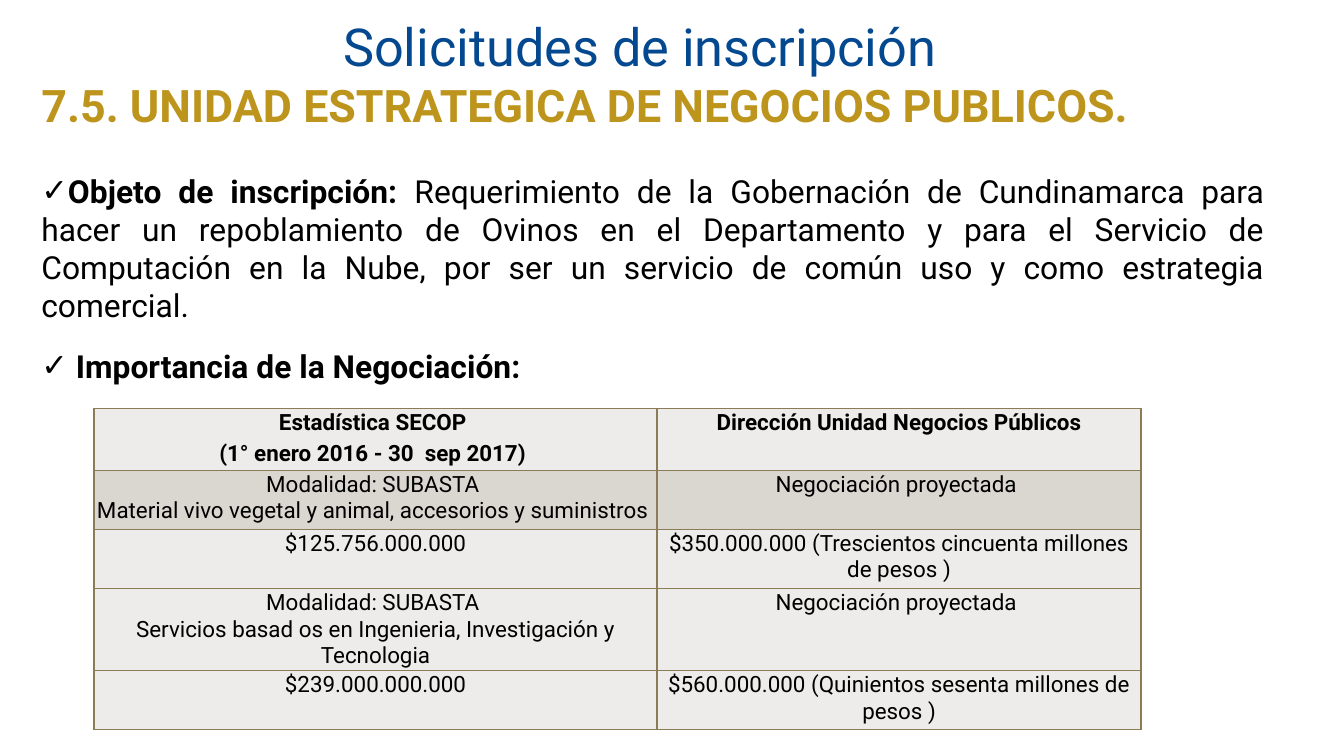
from lxml import etree
from pptx import Presentation
from pptx.dml.color import RGBColor
from pptx.enum.text import MSO_ANCHOR, PP_ALIGN
from pptx.oxml.ns import qn
from pptx.util import Inches, Pt

LEFT, CENTER, JUSTIFY = PP_ALIGN.LEFT, PP_ALIGN.CENTER, PP_ALIGN.JUSTIFY
TOP = MSO_ANCHOR.TOP

THEME = {
    "font": "Roboto",
    "blue": "044990", "gold": "BD951D", "black": "000000",
    "light": "EDECEA", "dark": "DAD7D1", "border": "897C57",
    "title": 28, "subtitle": 24, "body": 17, "cell": 12,
}

# Content
SLIDE_WIDTH = 10
SLIDE_HEIGHT = SLIDE_WIDTH * 9 / 16
TITLE = "Solicitudes de inscripción"
SUBTITLE = "7.5. UNIDAD ESTRATEGICA DE NEGOCIOS PUBLICOS."
POINTS = [
    [("Objeto de inscripción: ", True),
     ("Requerimiento de la Gobernación de Cundinamarca para hacer un "
      "repoblamiento de Ovinos en el Departamento y para el Servicio de "
      "Computación en la Nube, por ser un servicio de común uso y como "
      "estrategia comercial.", False)],
    [(" Importancia de la Negociación: ", True)],
]
HEADER_ROWS = 2
TABLE_ROWS = [
    ("Estadística SECOP ", "Dirección Unidad Negocios Públicos"),
    ("(1° enero 2016 - 30  sep 2017) ", ""),
    ("Modalidad: SUBASTA \nMaterial vivo vegetal y animal, accesorios y suministros ",
     "Negociación proyectada "),
    ("$125.756.000.000", "$350.000.000 (Trescientos cincuenta millones de pesos )"),
    ("Modalidad: SUBASTA \nServicios basad os en Ingenieria, Investigación y Tecnologia",
     "Negociación proyectada "),
    ("$239.000.000.000", "$560.000.000 (Quinientos sesenta millones de pesos )"),
]
DARK_ROW = 2
COLUMN_WIDTHS = (4.19, 3.6)
HEADER_HEIGHT, ROW_HEIGHT = 0.23, 0.44


def add_text(paragraph, text, size, color="black", bold=False, align=LEFT):
    paragraph.alignment = align
    for index, line in enumerate(text.split("\n")):
        if index:
            paragraph.add_line_break()
        run = paragraph.add_run()
        run.text = line
        run.font.name = THEME["font"]
        run.font.size = Pt(THEME[size])
        run.font.bold = bold
        run.font.color.rgb = RGBColor.from_string(THEME[color])


def add_text_box(slide, left, top, width, height):
    frame = slide.shapes.add_textbox(*map(Inches, (left, top, width, height))).text_frame
    frame.word_wrap = True
    frame.vertical_anchor = TOP
    return frame


def add_check_bullet(paragraph):
    properties = paragraph._p.get_or_add_pPr()
    properties.set("marL", "0")
    properties.set("indent", "0")
    etree.SubElement(properties, qn("a:buFont")).set("typeface", THEME["font"])
    etree.SubElement(properties, qn("a:buChar")).set("char", "✓")


def set_borders(cell, sides):
    properties = cell._tc.get_or_add_tcPr()
    for index, side in enumerate("LRTB"):
        line = etree.Element(qn(f"a:ln{side}"))
        if side in sides:
            line.set("w", str(Pt(1)))
            fill = etree.SubElement(line, qn("a:solidFill"))
            etree.SubElement(fill, qn("a:srgbClr")).set("val", THEME["border"])
        else:
            etree.SubElement(line, qn("a:noFill"))
        properties.insert(index, line)


presentation = Presentation()
presentation.slide_width = Inches(SLIDE_WIDTH)
presentation.slide_height = Inches(SLIDE_HEIGHT)
slide = presentation.slides.add_slide(presentation.slide_layouts[6])

# Headings
frame = add_text_box(slide, 0.21, 0.06, 9, 0.35)
title = frame.paragraphs[0]
title._p.get_or_add_pPr().set("marL", str(Inches(0.1)))
add_text(title, TITLE, "title", "blue", align=CENTER)
add_text(frame.add_paragraph(), SUBTITLE, "subtitle", "gold", bold=True)

# Checked points
frame = add_text_box(slide, 0.21, 1.23, 9.3, 1.7)
for index, runs in enumerate(POINTS):
    paragraph = frame.add_paragraph() if index else frame.paragraphs[0]
    add_check_bullet(paragraph)
    if index:
        paragraph.space_before = Pt(12)
    for text, bold in runs:
        add_text(paragraph, text, "body", bold=bold, align=JUSTIFY)

# Table
heights = [HEADER_HEIGHT if row < HEADER_ROWS else ROW_HEIGHT
           for row in range(len(TABLE_ROWS))]
table = slide.shapes.add_table(
    len(TABLE_ROWS), len(COLUMN_WIDTHS), Inches(0.7), Inches(3.04),
    Inches(sum(COLUMN_WIDTHS)), Inches(sum(heights))).table
table.first_row = table.horz_banding = False
for column, width in zip(table.columns, COLUMN_WIDTHS):
    column.width = Inches(width)
for row, height in zip(table.rows, heights):
    row.height = Inches(height)
table.cell(0, 1).merge(table.cell(HEADER_ROWS - 1, 1))

for row, texts in enumerate(TABLE_ROWS):
    for column, text in enumerate(texts):
        cell = table.cell(row, column)
        cell.margin_left = cell.margin_right = cell.margin_top = Inches(0.01)
        cell.margin_bottom = 0
        cell.vertical_anchor = TOP
        cell.fill.solid()
        shade = "dark" if row == DARK_ROW else "light"
        cell.fill.fore_color.rgb = RGBColor.from_string(THEME[shade])
        # The header rows read as one cell, with no rule between them
        set_borders(cell, {0: "LRT", 1: "LRB"}.get(row, "LRTB"))
        if not cell.is_spanned:
            add_text(cell.text_frame.paragraphs[0], text, "cell",
                     bold=row < HEADER_ROWS, align=CENTER)

presentation.save("out.pptx")
